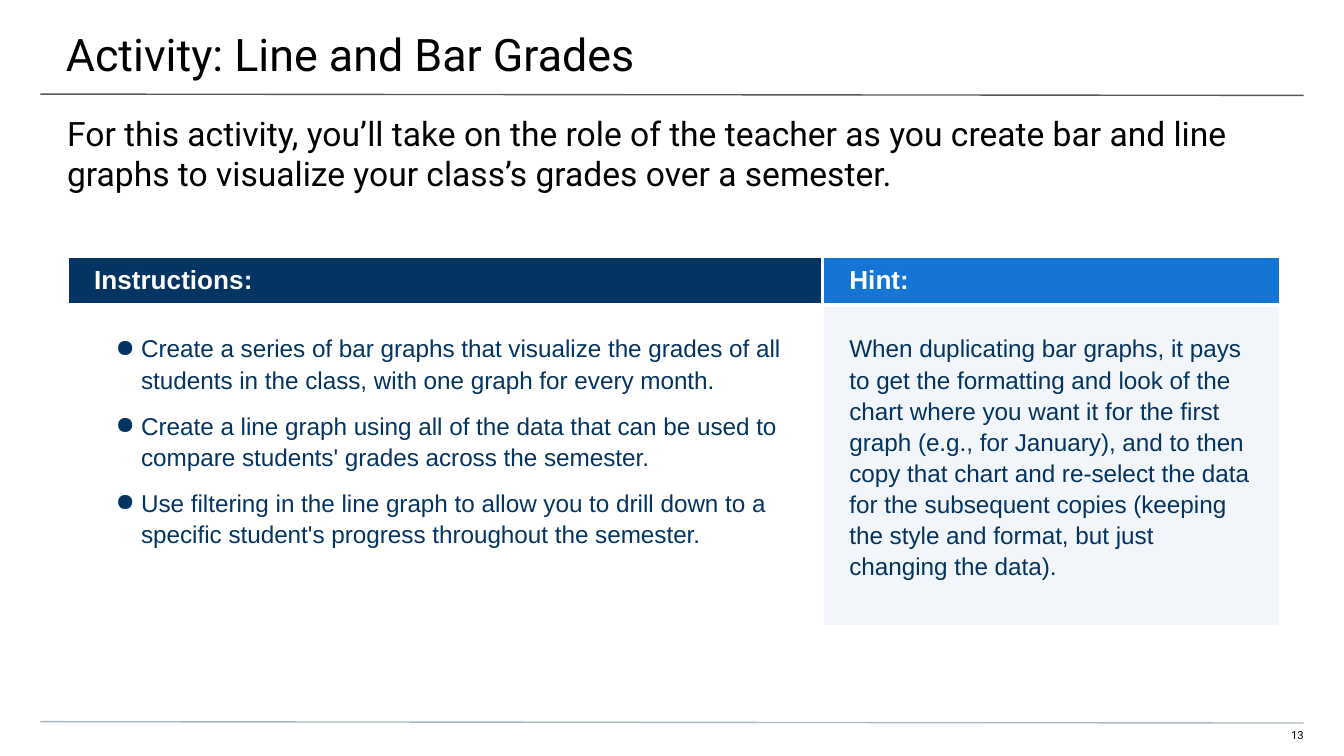
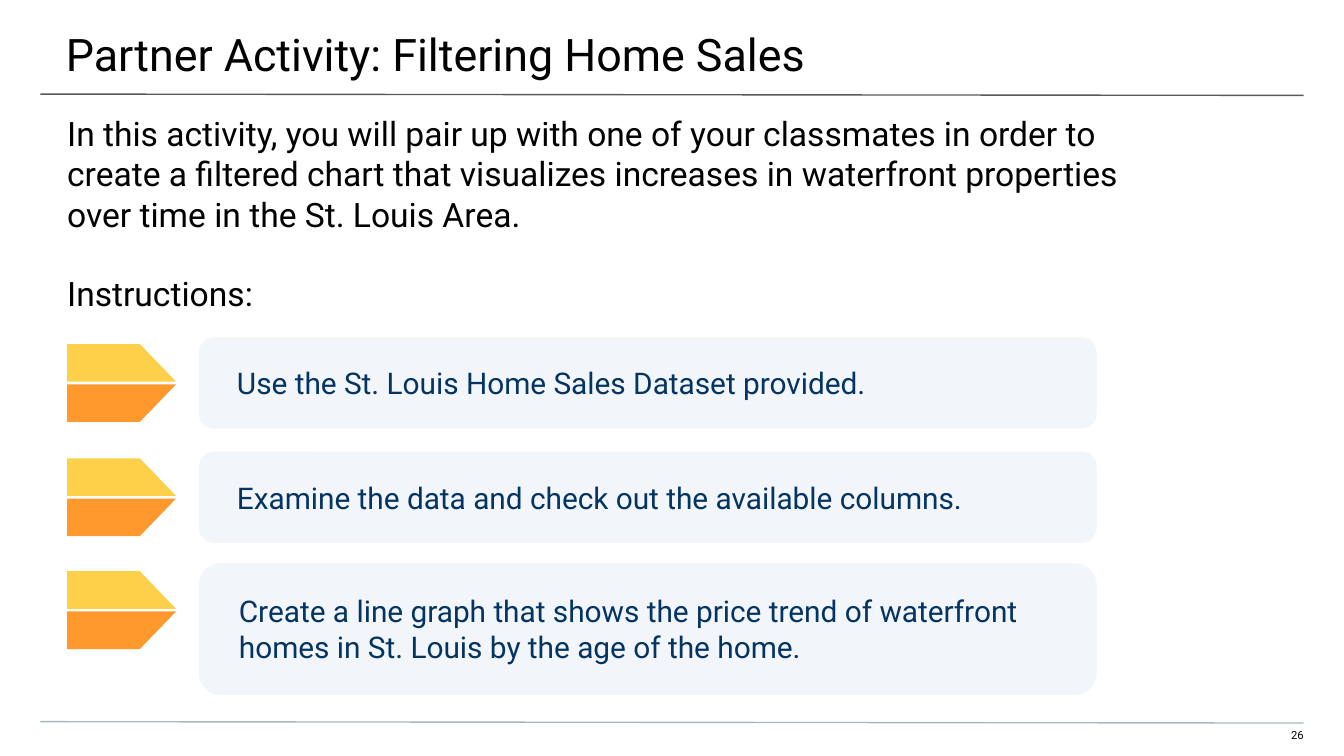
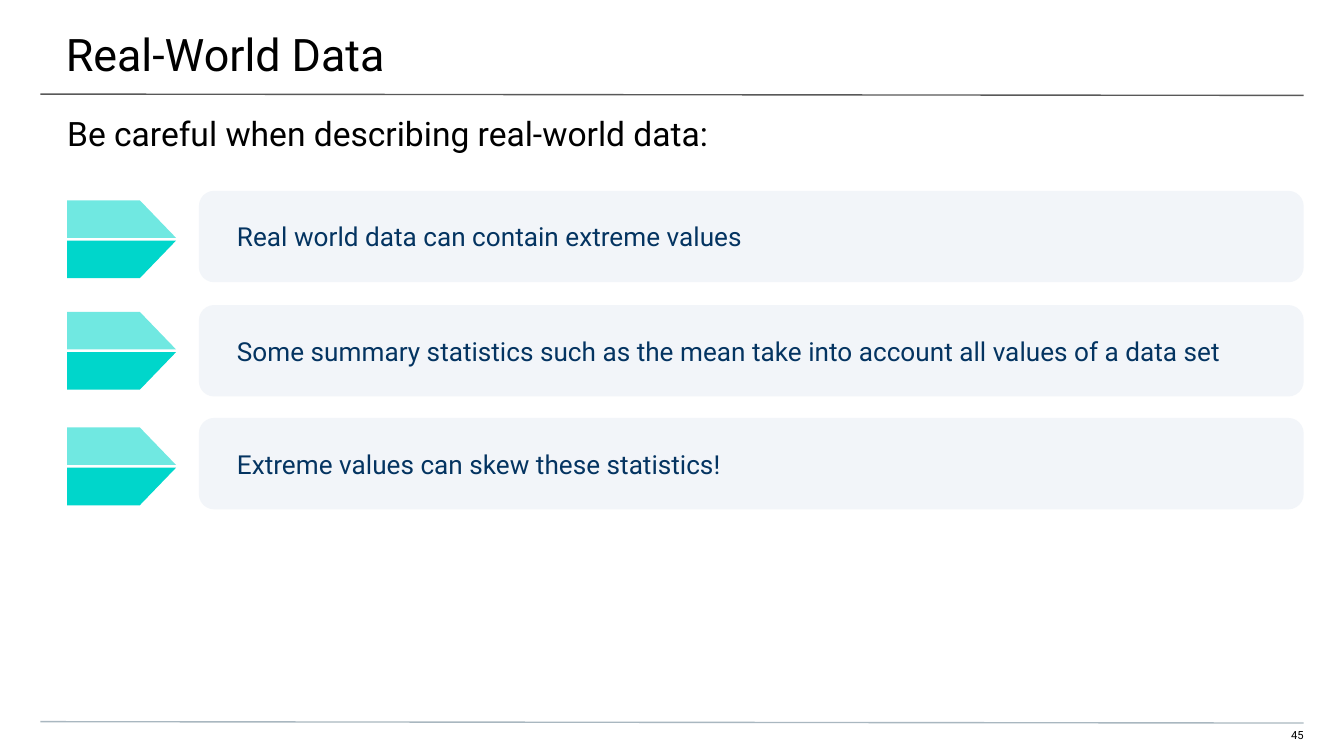
from lxml import etree
from pptx import Presentation
from pptx.dml.color import RGBColor
from pptx.enum.shapes import MSO_CONNECTOR, MSO_SHAPE
from pptx.enum.text import MSO_ANCHOR, PP_ALIGN
from pptx.oxml.ns import qn
from pptx.util import Pt

PX = 9144
STRAIGHT = MSO_CONNECTOR.STRAIGHT
ROUNDED = MSO_SHAPE.ROUNDED_RECTANGLE
TOP, MIDDLE = MSO_ANCHOR.TOP, MSO_ANCHOR.MIDDLE
LEFT, RIGHT = PP_ALIGN.LEFT, PP_ALIGN.RIGHT

BLACK = RGBColor(0x00, 0x00, 0x00)
WHITE = RGBColor(0xFF, 0xFF, 0xFF)
NAVY = RGBColor(0x04, 0x34, 0x61)
BLUE = RGBColor(0x14, 0x75, 0xD4)
PALE = RGBColor(0xF2, 0xF5, 0xF9)
YELLOW = RGBColor(0xFE, 0xCF, 0x48)
ORANGE = RGBColor(0xFF, 0x99, 0x2D)
TEAL = RGBColor(0x00, 0xD6, 0xCB)
TITLE_RULE = RGBColor(0x59, 0x59, 0x59)
FOOTER_RULE = RGBColor(0xA9, 0xB7, 0xC0)

ARROW_LEFT = 50
ARROW_UPPER = [(0, 0), (54, 0), (81, 28), (0, 28)]
ARROW_LOWER = [(0, 30), (81, 30), (54, 58), (0, 58)]
CARD_LEFT = 148


class Deck:
    def __init__(self):
        self.presentation = Presentation()
        self.presentation.slide_width = 1000 * PX
        self.presentation.slide_height = self.presentation.slide_width * 9 // 16
        self.slide = None

    def add_slide(self, title, introduction, number):
        layout = self.presentation.slide_layouts[6]
        self.slide = self.presentation.slides.add_slide(layout)
        self.text_box((941, 542, 29, 12), [number], 6, (0, 0, 0, 10), RIGHT)
        self.rule(70, TITLE_RULE)
        self.rule(537, FOOTER_RULE)
        self.text_box((-1, 0, 1003, 58), [title], 24, (50, 20, 30, 10))
        self.text_box((0, 74, 1000, 40), introduction, 18, (50, 10, 50, 0), gap=21)

    def rule(self, top, color):
        line = self.slide.shapes.add_connector(
            STRAIGHT, 30 * PX, top * PX, 970 * PX, (top + 1) * PX)
        line.line.color.rgb = color
        line.line.width = Pt(0.75)
        etree.SubElement(line._element.spPr, qn("a:effectLst"))

    def set_margins(self, target, margins):
        left, top, right, bottom = margins
        target.margin_left, target.margin_top = left * PX, top * PX
        target.margin_right, target.margin_bottom = right * PX, bottom * PX

    def fill_text(self, frame, texts, size, color, font="Roboto", bold=False,
                  align=LEFT, gap=0, spacing=None):
        frame.word_wrap = True
        for index, text in enumerate(texts):
            paragraph = frame.add_paragraph() if index else frame.paragraphs[0]
            paragraph.text = text
            paragraph.alignment = align
            if spacing:
                paragraph.line_spacing = spacing
            if index and gap:
                paragraph.space_before = Pt(gap)
            for run in paragraph.runs:
                run.font.name = font
                run.font.size = Pt(size)
                run.font.bold = bold
                run.font.color.rgb = color

    def text_box(self, box, texts, size, margins, align=LEFT, gap=0):
        shape = self.slide.shapes.add_textbox(*(value * PX for value in box))
        self.set_margins(shape.text_frame, margins)
        self.fill_text(shape.text_frame, texts, size, BLACK, align=align, gap=gap)

    def card(self, top, width, height, text, size):
        shape = self.slide.shapes.add_shape(
            ROUNDED, CARD_LEFT * PX, top * PX, width * PX, height * PX)
        self.paint(shape, PALE)
        shape.text_frame.vertical_anchor = MIDDLE
        self.set_margins(shape.text_frame, (25, 10, 10, 10))
        self.fill_text(shape.text_frame, [text], size, NAVY)

    def paint(self, shape, color, opacity=100):
        shape.shadow.inherit = False
        shape.line.fill.background()
        shape.fill.solid()
        shape.fill.fore_color.rgb = color
        if opacity < 100:
            solid = shape._element.spPr.find(qn("a:solidFill"))
            etree.SubElement(solid[0], qn("a:alpha"), val=str(opacity * 1000))

    def arrow(self, top, upper_color, lower_color, upper_opacity):
        for outline, color, opacity in (
                (ARROW_UPPER, upper_color, upper_opacity),
                (ARROW_LOWER, lower_color, 100)):
            points = [(ARROW_LEFT + x, top + y) for x, y in outline]
            builder = self.slide.shapes.build_freeform(*points[0], scale=PX)
            builder.add_line_segments(points[1:], close=True)
            self.paint(builder.convert_to_shape(), color, opacity)

    def steps(self, rows, width, size, upper_color, lower_color, upper_opacity=100):
        for arrow_top, card_top, card_height, text in rows:
            self.arrow(arrow_top, upper_color, lower_color, upper_opacity)
            self.card(card_top, width, card_height, text, size)

    def bullet(self, paragraph):
        properties = paragraph._p.get_or_add_pPr()
        properties.set("marL", str(35 * PX))
        properties.set("indent", str(-19 * PX))
        color = etree.SubElement(properties, qn("a:buClr"))
        etree.SubElement(color, qn("a:srgbClr"), val=str(NAVY))
        etree.SubElement(properties, qn("a:buChar"), char="●")

    def style_cell(self, cell, fill, margins, anchor):
        properties = cell._tc.get_or_add_tcPr()
        for side in ("a:lnL", "a:lnR", "a:lnT", "a:lnB"):
            border = etree.SubElement(properties, qn(side), w=str(Pt(2.25)))
            solid = etree.SubElement(border, qn("a:solidFill"))
            etree.SubElement(solid, qn("a:srgbClr"), val=str(WHITE))
        self.set_margins(cell, margins)
        cell.vertical_anchor = anchor
        if fill is None:
            cell.fill.background()
        else:
            cell.fill.solid()
            cell.fill.fore_color.rgb = fill

    def panel_table(self, panels):
        frame = self.slide.shapes.add_table(
            2, len(panels), 50 * PX, 191 * PX, 903 * PX, 273 * PX)
        table = frame.table
        table.first_row = table.horz_banding = False
        for row, height in zip(table.rows, (36, 145)):
            row.height = height * PX
        for index, (width, heading, heading_fill, texts, fill, bulleted) in enumerate(panels):
            table.columns[index].width = width * PX
            head, body = table.cell(0, index), table.cell(1, index)
            self.style_cell(head, heading_fill, (20, 0, 20, 0), MIDDLE)
            self.fill_text(head.text_frame, [heading], 14, WHITE, "Arial", True)
            self.style_cell(body, fill, (20, 20, 20, 20), TOP)
            self.fill_text(body.text_frame, texts, 13, NAVY, "Arial", gap=8, spacing=1.15)
            if bulleted:
                body.text_frame.paragraphs[-1].space_after = Pt(8)
                for paragraph in body.text_frame.paragraphs:
                    self.bullet(paragraph)
        frame.height = 273 * PX


def grades_slide(deck):
    deck.add_slide("Activity: Line and Bar Grades", [
        "For this activity, you’ll take on the role of the teacher as you create bar and line "
        "graphs to visualize your class’s grades over a semester."], "13")
    instructions = [
        "Create a series of bar graphs that visualize the grades of all students in the class, "
        "with one graph for every month.",
        "Create a line graph using all of the data that can be used to compare students' grades "
        "across the semester.",
        "Use filtering in the line graph to allow you to drill down to a specific student's "
        "progress throughout the semester.",
    ]
    hint = [
        "When duplicating bar graphs, it pays to get the formatting and look of the chart where "
        "you want it for the first graph (e.g., for January), and to then copy that chart and "
        "re-select the data for the subsequent copies (keeping the style and format, but just "
        "changing the data)."]
    deck.panel_table([
        (562, "Instructions:", NAVY, instructions, None, True),
        (341, "Hint:", BLUE, hint, PALE, False),
    ])


def home_sales_slide(deck):
    deck.add_slide("Partner Activity: Filtering Home Sales", [
        "In this activity, you will pair up with one of your classmates in order to \n"
        "create a filtered chart that visualizes increases in waterfront properties \n"
        "over time in the St. Louis Area.",
        "Instructions:"], "26")
    deck.steps([
        (256, 251, 68, "Use the St. Louis Home Sales Dataset provided."),
        (341, 336, 68, "Examine the data and check out the available columns."),
        (425, 419, 98, "Create a line graph that shows the price trend of waterfront \n"
                       "homes in St. Louis by the age of the home."),
    ], 668, 16, YELLOW, ORANGE)


def real_world_slide(deck):
    deck.add_slide("Real-World Data", ["Be careful when describing real-world data:"], "45")
    deck.steps([
        (149, 142, 68, "Real world data can contain extreme values"),
        (232, 227, 68, "Some summary statistics such as the mean take into account all values "
                       "of a data set"),
        (318, 311, 68, "Extreme values can skew these statistics!"),
    ], 822, 14, TEAL, TEAL, 56)


def main():
    deck = Deck()
    grades_slide(deck)
    home_sales_slide(deck)
    real_world_slide(deck)
    deck.presentation.save("out.pptx")


if __name__ == "__main__":
    main()
